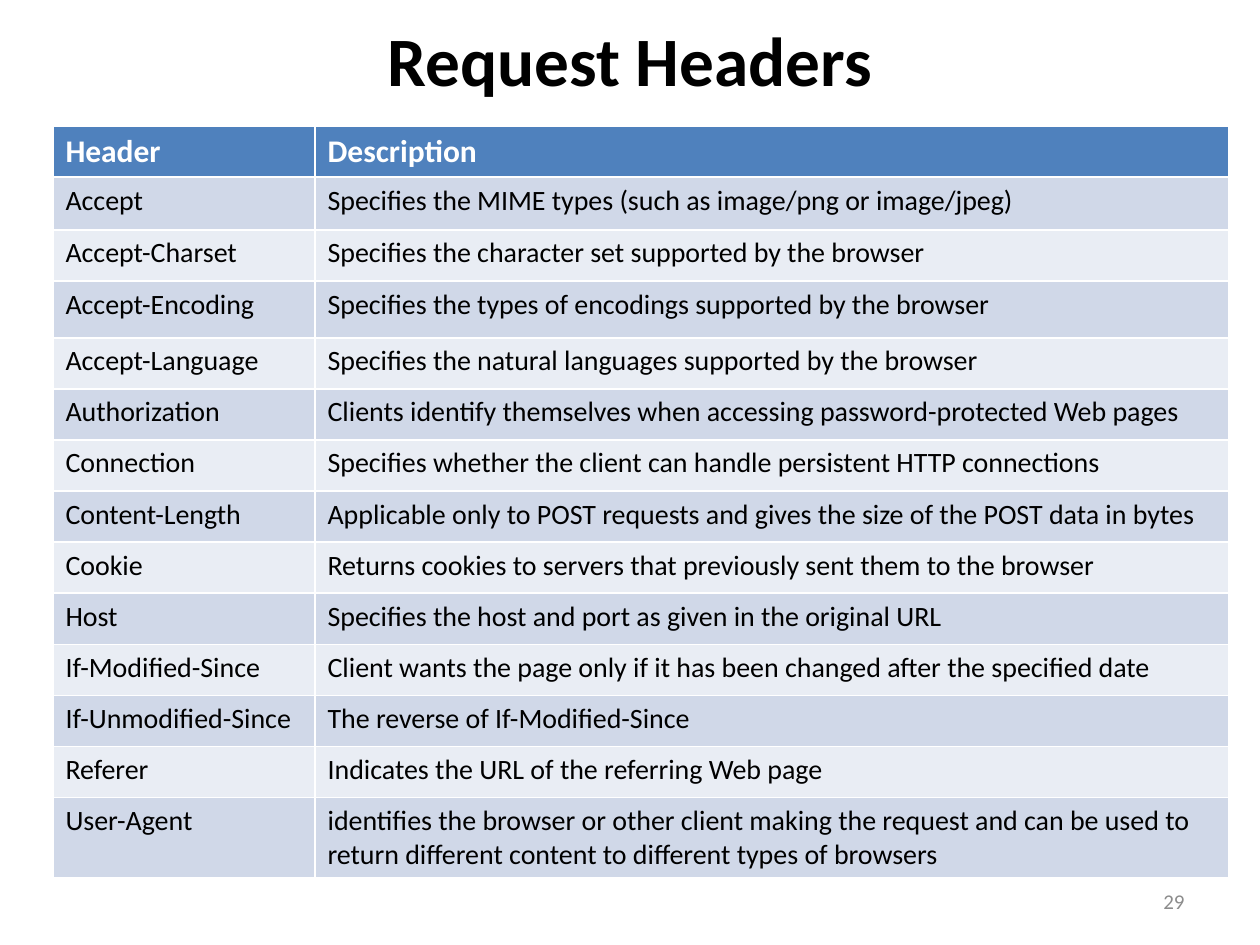
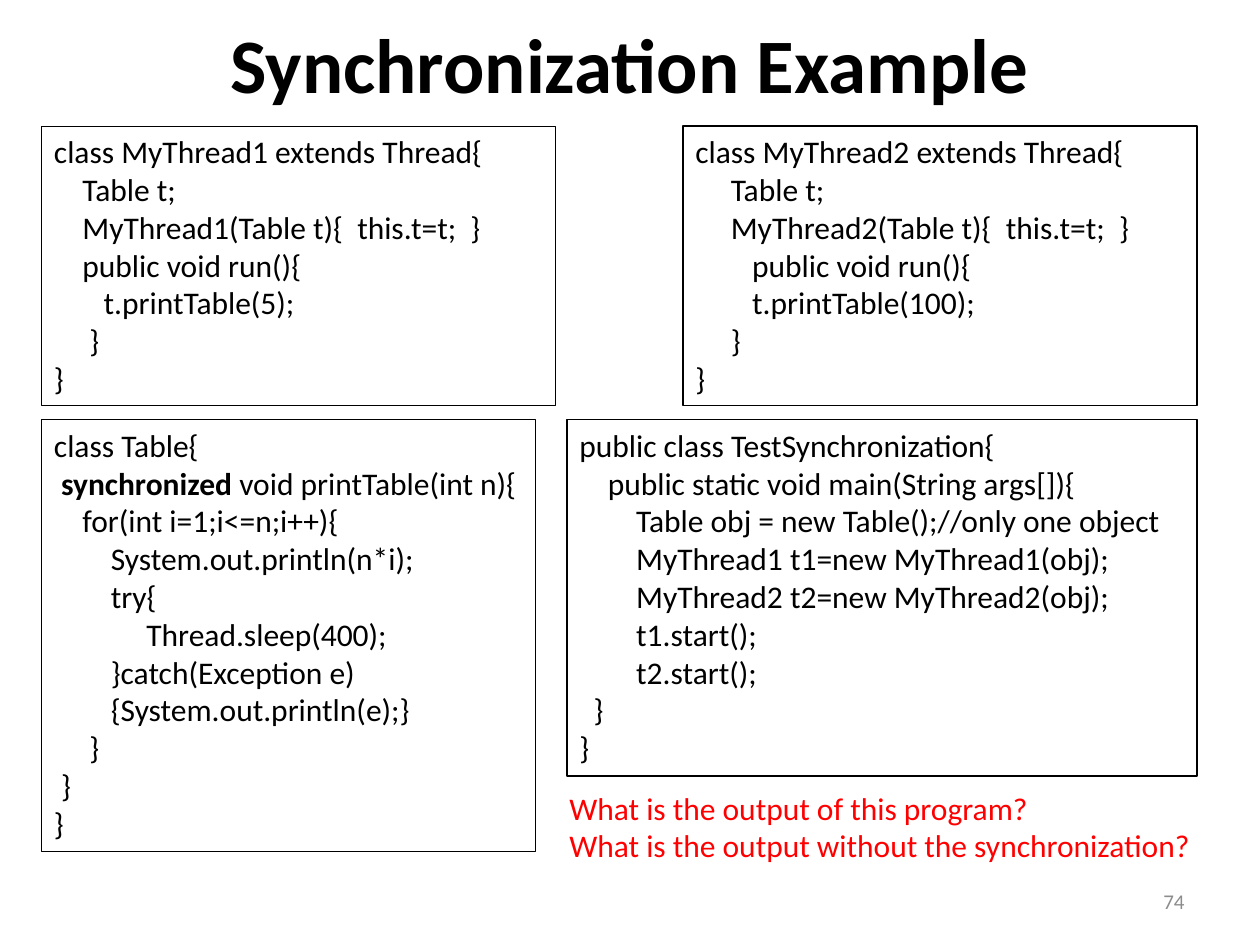
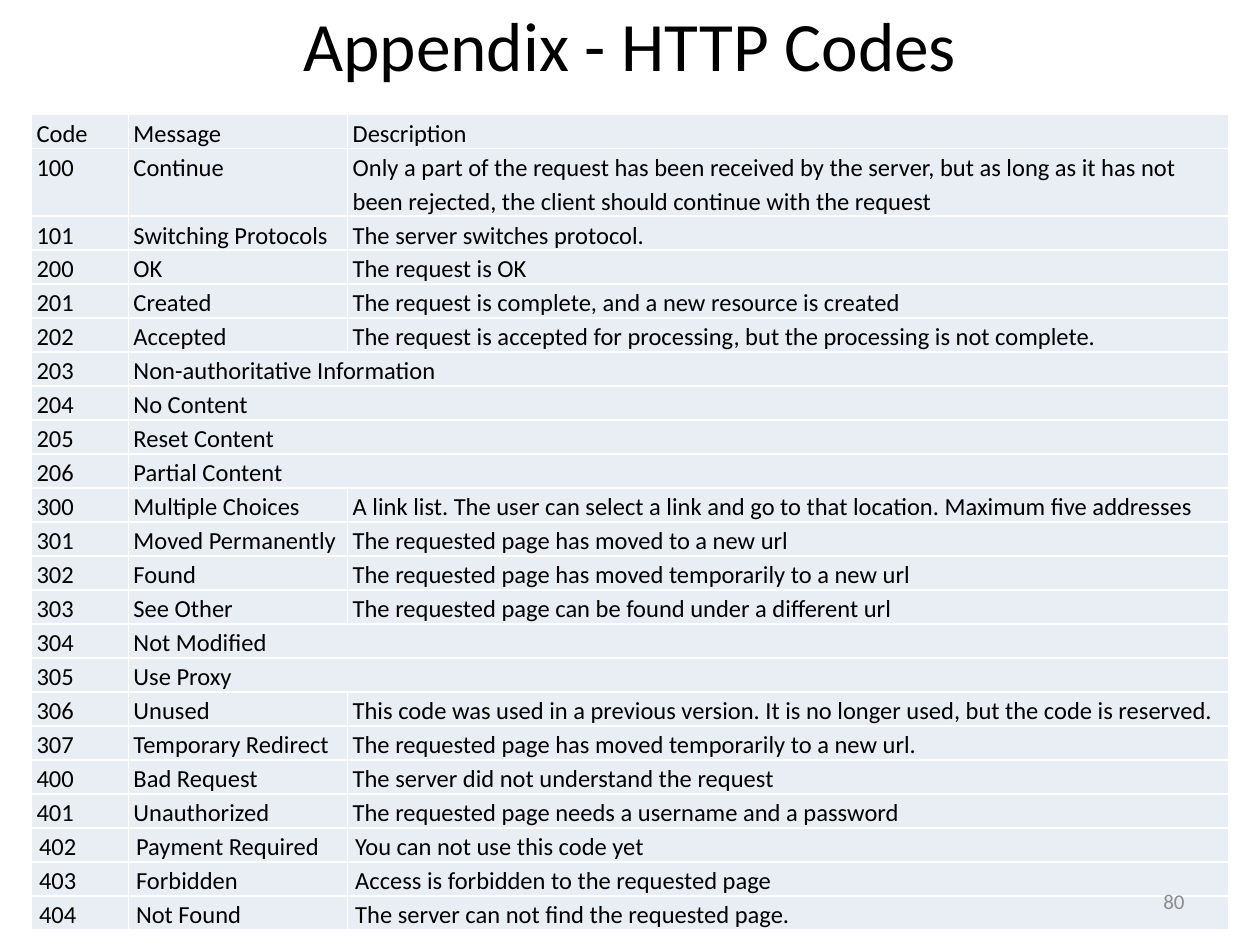
from pptx import Presentation
from pptx.dml.color import RGBColor as RGB
from pptx.enum.text import MSO_ANCHOR as Anchor, MSO_AUTO_SIZE as Auto, PP_ALIGN as Align
from pptx.util import Inches, Pt

HUES = {"ink": "000000", "white": "FFFFFF", "red": "FF0000", "gray": "8C8C8C",
        "head": "4F81BD", "dark": "D0D8E8", "light": "E9EDF4"}
KEY = "synchronized"  # the one keyword set in bold

deck = Presentation()
deck.slide_width, deck.slide_height = Inches(10), Inches(7.5)


def write(frame, lines, size, hue="ink", bold=False, para=None):
    frame.word_wrap = True
    for i, line in enumerate(lines):
        p = frame.paragraphs[0] if i == 0 else frame.add_paragraph()
        for name, value in (para or {}).items():
            setattr(p, name, value)
        for part in filter(None, line.partition(KEY)):
            run = p.add_run()
            run.text = part
            looks = {"name": "Calibri", "size": Pt(size), "bold": bold or part == KEY}
            for name, value in looks.items():
                setattr(run.font, name, value)
            run.font.color.rgb = RGB.from_string(HUES[hue])


def add_box(slide, spot, lines, size, hue="ink", bold=False, para=None, **look):
    box = slide.shapes.add_textbox(*map(Inches, spot))
    write(box.text_frame, lines, size, hue, bold, para)
    for name, value in look.items():
        setattr(box.text_frame, name, value)
    return box


# Titles and page numbers
heads = [
    ("Request Headers", 0.08, 0.78, 39.6, True, "29"),
    ("Synchronization Example", 0, 1, 44, True, "74"),
    ("Appendix - HTTP Codes", 0, 0.7, 39.6, False, "80"),
]
slides = []
for title, top, high, size, bold, page in heads:
    slide = deck.slides.add_slide(deck.slide_layouts[6])
    add_box(slide, (0.5, top, 9, high), [title], size, bold=bold,
            para={"alignment": Align.CENTER}, vertical_anchor=Anchor.MIDDLE)
    slides.append(slide)

# Request headers table
fields = [
    ("Header", "Description"),
    ("Accept", "Specifies the MIME types (such as image/png or image/jpeg)"),
    ("Accept-Charset", "Specifies the character set supported by the browser"),
    ("Accept-Encoding", "Specifies the types of encodings supported by the browser"),
    ("Accept-Language", "Specifies the natural languages supported by the browser"),
    ("Authorization", "Clients identify themselves when accessing password-protected Web pages"),
    ("Connection", "Specifies whether the client can handle persistent HTTP connections"),
    ("Content-Length", "Applicable only to POST requests and gives the size of the POST data in bytes"),
    ("Cookie", "Returns cookies to servers that previously sent them to the browser"),
    ("Host", "Specifies the host and port as given in the original URL"),
    ("If-Modified-Since", "Client wants the page only if it has been changed after the specified date"),
    ("If-Unmodified-Since", "The reverse of If-Modified-Since"),
    ("Referer", "Indicates the URL of the referring Web page"),
    ("User-Agent", "identifies the browser or other client making the request and can be used to "
                   "return different content to different types of browsers"),
]

# HTTP codes table; a row without a description spans two columns
codes = [
    ("Code", "Message", "Description"),
    ("100", "Continue", "Only a part of the request has been received by the server, but as long as "
                        "it has not been rejected, the client should continue with the request"),
    ("101", "Switching Protocols", "The server switches protocol."),
    ("200", "OK", "The request is OK"),
    ("201", "Created", "The request is complete, and a new resource is created"),
    ("202", "Accepted", "The request is accepted for processing, but the processing is not complete."),
    ("203", "Non-authoritative Information"),
    ("204", "No Content"),
    ("205", "Reset Content"),
    ("206", "Partial Content"),
    ("300", "Multiple Choices",
     "A link list. The user can select a link and go to that location. Maximum five addresses"),
    ("301", "Moved Permanently", "The requested page has moved to a new url"),
    ("302", "Found", "The requested page has moved temporarily to a new url"),
    ("303", "See Other", "The requested page can be found under a different url"),
    ("304", "Not Modified"),
    ("305", "Use Proxy"),
    ("306", "Unused",
     "This code was used in a previous version. It is no longer used, but the code is reserved."),
    ("307", "Temporary Redirect", "The requested page has moved temporarily to a new url."),
    ("400", "Bad Request", "The server did not understand the request"),
    ("401", "Unauthorized", "The requested page needs a username and a password"),
    ("402", "Payment Required", "You can not use this code yet"),
    ("403", "Forbidden", "Access is forbidden to the requested page"),
    ("404", "Not Found", "The server can not find the requested page."),
]

# Both tables: slide, rows, left, top, column widths, row height, header row
step = 3.65 / 9
plans = [
    (slides[0], fields, 0.42, 1, (2.08, 7.25), step, True),
    (slides[2], codes, 0.25, 0.91, (0.77, 1.74, 6.99), 0.27, False),
]
for slide, rows, left, top, wides, high, headed in plans:
    spot = map(Inches, (left, top, sum(wides), high * len(rows)))
    grid = slide.shapes.add_table(len(rows), len(wides), *spot).table
    grid.first_row = grid.horz_banding = headed
    for col, wide in zip(grid.columns, wides):
        col.width = Inches(wide)
    for r, row in enumerate(rows):
        grid.rows[r].height = Inches(high)
        if len(row) < len(wides):
            grid.cell(r, 1).merge(grid.cell(r, 2))
        for c in range(len(wides)):
            cell = grid.cell(r, c)
            top_row = headed and r == 0
            fill = "head" if top_row else "dark" if headed and r % 2 else "light"
            cell.fill.solid()
            cell.fill.fore_color.rgb = RGB.from_string(HUES[fill])
            if not headed:
                side = Inches(0.06 if row[0] in ("402", "403", "404") else 0.04)
                pads = {"margin_left": side, "margin_right": side,
                        "margin_top": 0, "margin_bottom": 0}
                for name, value in pads.items():
                    setattr(cell, name, value)
            if c < len(row):
                write(cell.text_frame, [row[c]], 18 if top_row else 16 if headed else 14,
                      "white" if top_row else "ink", top_row,
                      None if headed else {"line_spacing": 1.15})
    if headed:
        grid.rows[1].height = Inches(0.42)
        grid.rows[3].height = Inches(0.45)

# Code boxes: place, line width, code
boxes = [
    ((0.33, 3.33, 3.92, 3.43), 0.25, """class Table{
 synchronized void printTable(int n){
    for(int i=1;i<=n;i++){
        System.out.println(n*i);
        try{
             Thread.sleep(400);
        }catch(Exception e)
        {System.out.println(e);}
     }
 }
}"""),
    ((0.33, 1, 4.08, 2.22), 0.25, """class MyThread1 extends Thread{
    Table t;
    MyThread1(Table t){  this.t=t;  }
    public void run(){
       t.printTable(5);
     }
}"""),
    ((5.42, 1, 4.08, 2.22), 0.75, """class MyThread2 extends Thread{
     Table t;
     MyThread2(Table t){  this.t=t;  }
        public void run(){
        t.printTable(100);
     }
}"""),
    ((4.5, 3.33, 5, 2.83), 0.75, """public class TestSynchronization{
    public static void main(String args[]){
        Table obj = new Table();//only one object
        MyThread1 t1=new MyThread1(obj);
        MyThread2 t2=new MyThread2(obj);
        t1.start();
        t2.start();
  }
}"""),
]
for spot, width, code in boxes:
    box = add_box(slides[1], spot, code.split("\n"), 18, auto_size=Auto.SHAPE_TO_FIT_TEXT)
    box.line.color.rgb = RGB.from_string(HUES["ink"])
    box.line.width = Pt(width)

# Questions under the code
asks = ["What is the output of this program?", "What is the output without the synchronization?"]
add_box(slides[1], (4.42, 6.21, 5.58, 0.71), asks, 18, "red", auto_size=Auto.SHAPE_TO_FIT_TEXT)

# Page numbers lie on top
for slide, head in zip(slides, heads):
    add_box(slide, (7.17, 6.95, 2.33, 0.4), [head[-1]], 12, "gray",
            para={"alignment": Align.RIGHT}, vertical_anchor=Anchor.MIDDLE)

deck.save("out.pptx")
